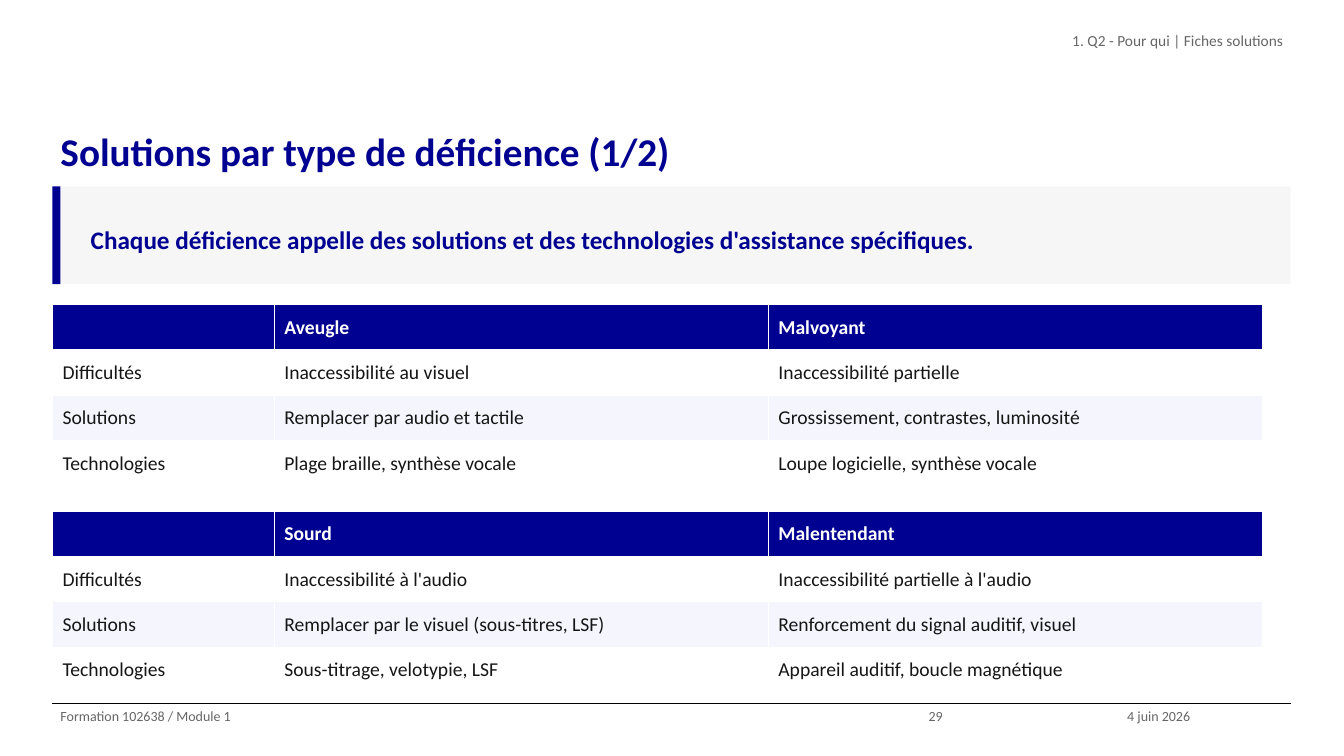
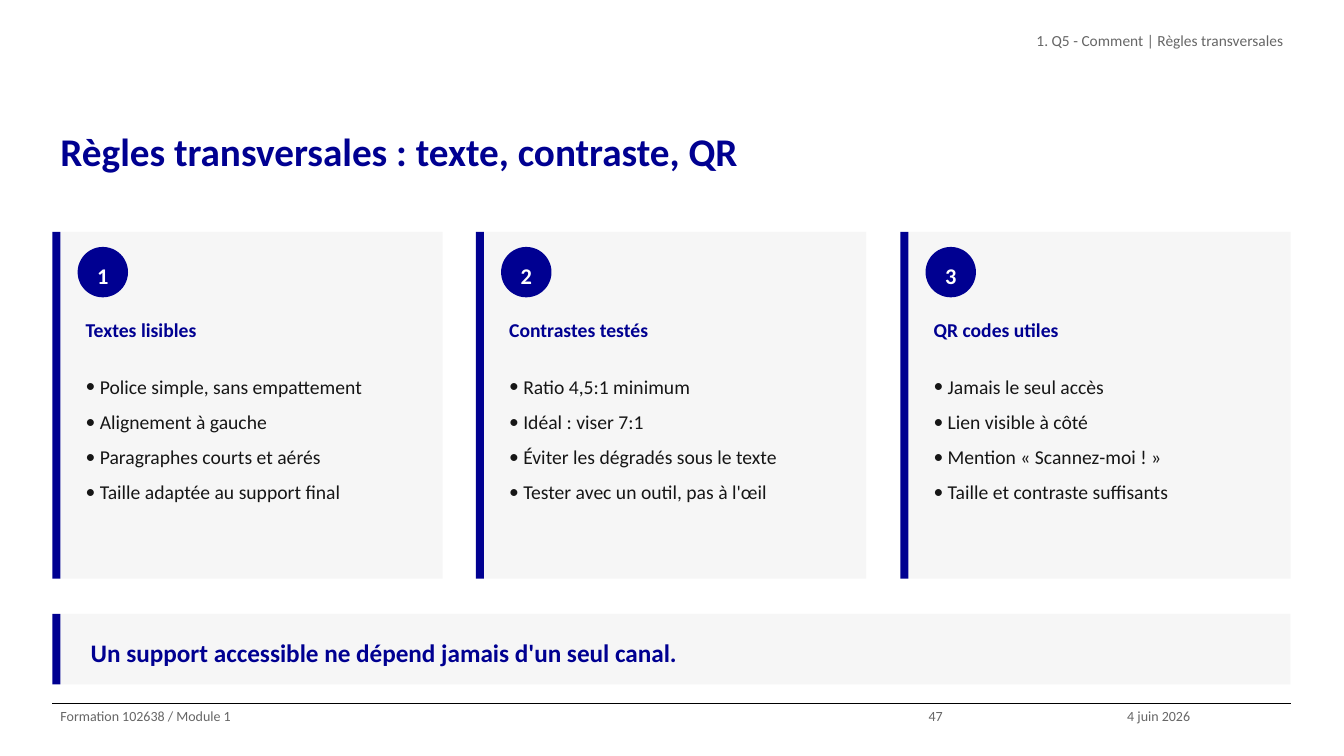
from lxml import etree
from pptx import Presentation
from pptx.dml.color import RGBColor
from pptx.enum.shapes import MSO_CONNECTOR, MSO_SHAPE
from pptx.enum.text import MSO_ANCHOR, PP_ALIGN
from pptx.oxml.ns import qn
from pptx.util import Pt

PX = 9144  # 100 px to the inch
FONT = "Calibri"
COLORS = {
    "blue": "000091",
    "panel": "F6F6F6",
    "band": "F5F5FE",
    "text": "161616",
    "grey": "666666",
    "white": "FFFFFF",
    "black": "000000",
}
RECTANGLE, OVAL = MSO_SHAPE.RECTANGLE, MSO_SHAPE.OVAL
STRAIGHT = MSO_CONNECTOR.STRAIGHT
TOP, MIDDLE = MSO_ANCHOR.TOP, MSO_ANCHOR.MIDDLE
LEFT, CENTER, RIGHT = PP_ALIGN.LEFT, PP_ALIGN.CENTER, PP_ALIGN.RIGHT

MARGIN, CONTENT_WIDTH = 52, 1228
BAR_WIDTH = 8
FOOTER_TOP, FOOTER_HEIGHT = 698, 52
CARD_WIDTH = 387
COLUMN_WIDTHS = (220, 490, 490)
ROW_HEIGHT = 45
ROW_LABELS = ("Difficultés", "Solutions", "Technologies")


def px(*lengths):
    return [length * PX for length in lengths]


def rgb(name):
    return RGBColor.from_string(COLORS[name])


def style_paragraph(paragraph, size, color, bold=False, align=LEFT, spacing=1.25):
    paragraph.alignment = align
    paragraph.line_spacing = spacing
    font = paragraph.font
    font.name, font.size, font.bold = FONT, Pt(size), bold
    font.color.rgb = rgb(color)


def set_insets(frame, vertical):
    frame.word_wrap = True
    frame.margin_left, frame.margin_right = px(8, 8)
    frame.margin_top, frame.margin_bottom = px(vertical, vertical)


def add_text(slide, box, lines, size, color, bold=False, align=LEFT,
             anchor=TOP, inset=0, spacing=1.25, bullets=False):
    frame = slide.shapes.add_textbox(*px(*box)).text_frame
    set_insets(frame, inset)
    frame.vertical_anchor = anchor
    frame.text = "\n".join(lines)
    for paragraph in frame.paragraphs:
        if bullets:
            add_bullet(paragraph)
        style_paragraph(paragraph, size, color, bold, align, spacing)


def add_bullet(paragraph, hang=14):
    properties = paragraph._p.get_or_add_pPr()
    properties.set("marL", str(hang * PX))
    properties.set("indent", str(-hang * PX))
    etree.SubElement(properties, qn("a:buFont")).set("typeface", FONT)
    etree.SubElement(properties, qn("a:buChar")).set("char", "•")


def add_filled_shape(slide, kind, box, color):
    shape = slide.shapes.add_shape(kind, *px(*box))
    shape.shadow.inherit = False
    shape.fill.solid()
    shape.fill.fore_color.rgb = rgb(color)
    shape.line.fill.background()
    return shape


def add_panel(slide, box):
    """Grey panel with a blue bar along its left side."""
    left, top, width, height = box
    add_filled_shape(slide, RECTANGLE,
                     (left + BAR_WIDTH, top, width - BAR_WIDTH, height), "panel")
    add_filled_shape(slide, RECTANGLE, (left, top, BAR_WIDTH, height), "blue")


def add_callout(slide, box, message):
    left, top, width, height = box
    add_panel(slide, box)
    add_text(slide, (left + 30, top + 10, width - 40, height - 20), [message],
             18, "blue", bold=True, anchor=MIDDLE, inset=5)


def add_card(slide, box, number, heading, points):
    left, top, width, height = box
    add_panel(slide, box)
    text_left, text_width = left + 25, width - 40
    badge = add_filled_shape(slide, OVAL, (text_left, top + 15, 50, 50), "blue")
    frame = badge.text_frame
    set_insets(frame, 5)
    frame.vertical_anchor = MIDDLE
    frame.text = str(number)
    style_paragraph(frame.paragraphs[0], 16, "white", True, CENTER)
    add_text(slide, (text_left, top + 75, text_width, 45), [heading],
             14, "blue", bold=True, inset=5)
    add_text(slide, (text_left, top + 125, text_width, height - 135), points,
             14, "text", inset=5, spacing=1.5, bullets=True)


def add_solution_table(slide, left, top, headings, columns):
    rows = [("", *headings), *zip(ROW_LABELS, *columns)]
    table = slide.shapes.add_table(
        len(rows), len(COLUMN_WIDTHS),
        *px(left, top, sum(COLUMN_WIDTHS), ROW_HEIGHT * len(rows))).table
    table.horz_banding = False
    for column, width in zip(table.columns, COLUMN_WIDTHS):
        column.width = width * PX
    for row_index, row in enumerate(rows):
        is_header = row_index == 0
        fill = "blue" if is_header else ("band" if row_index % 2 == 0 else "white")
        table.rows[row_index].height = ROW_HEIGHT * PX
        for column_index, text in enumerate(row):
            cell = table.cell(row_index, column_index)
            cell.fill.solid()
            cell.fill.fore_color.rgb = rgb(fill)
            cell.text = text
            style_paragraph(cell.text_frame.paragraphs[0], 14,
                            "white" if is_header else "text", is_header)


def add_footer(slide, number):
    line = slide.shapes.add_connector(
        STRAIGHT, *px(MARGIN, FOOTER_TOP, MARGIN + CONTENT_WIDTH, FOOTER_TOP))
    line.line.color.rgb = rgb("black")
    line.line.width = Pt(0.8)
    etree.SubElement(line._element.spPr, qn("a:effectLst"))
    for left, width, text in (
        (MARGIN, 861, "Formation 102638 / Module 1"),
        (913, 197, str(number)),
        (1110, 171, "4 juin 2026"),
    ):
        add_text(slide, (left, FOOTER_TOP, width, FOOTER_HEIGHT), [text], 10, "grey")


def add_base_slide(presentation, section, title, number):
    """Blank slide with the shared section label, title and footer."""
    slide = presentation.slides.add_slide(presentation.slide_layouts[6])
    add_text(slide, (483, 26, 798, 52), [section], 11, "grey", align=RIGHT)
    add_text(slide, (MARGIN, 115, CONTENT_WIDTH, 105), [title], 28, "blue", bold=True)
    add_footer(slide, number)
    return slide


def build_solutions_slide(presentation):
    slide = add_base_slide(presentation, "1. Q2 - Pour qui | Fiches solutions",
                           "Solutions par type de déficience (1/2)", 29)
    add_callout(slide, (MARGIN, 185, CONTENT_WIDTH, 97),
                "Chaque déficience appelle des solutions et des technologies "
                "d'assistance spécifiques.")
    add_solution_table(slide, MARGIN, 302, ("Aveugle", "Malvoyant"), (
        ("Inaccessibilité au visuel", "Remplacer par audio et tactile",
         "Plage braille, synthèse vocale"),
        ("Inaccessibilité partielle", "Grossissement, contrastes, luminosité",
         "Loupe logicielle, synthèse vocale"),
    ))
    add_solution_table(slide, MARGIN, 507, ("Sourd", "Malentendant"), (
        ("Inaccessibilité à l'audio", "Remplacer par le visuel (sous-titres, LSF)",
         "Sous-titrage, velotypie, LSF"),
        ("Inaccessibilité partielle à l'audio", "Renforcement du signal auditif, visuel",
         "Appareil auditif, boucle magnétique"),
    ))


def build_rules_slide(presentation):
    slide = add_base_slide(presentation, "1. Q5 - Comment | Règles transversales",
                           "Règles transversales : texte, contraste, QR", 47)
    cards = (
        ("Textes lisibles", (
            "Police simple, sans empattement", "Alignement à gauche",
            "Paragraphes courts et aérés", "Taille adaptée au support final")),
        ("Contrastes testés", (
            "Ratio 4,5:1 minimum", "Idéal : viser 7:1",
            "Éviter les dégradés sous le texte", "Tester avec un outil, pas à l'œil")),
        ("QR codes utiles", (
            "Jamais le seul accès", "Lien visible à côté",
            "Mention « Scannez-moi ! »", "Taille et contraste suffisants")),
    )
    for index, (heading, points) in enumerate(cards):
        left = MARGIN + index * (CONTENT_WIDTH - CARD_WIDTH) // (len(cards) - 1)
        add_card(slide, (left, 230, CARD_WIDTH, 344), index + 1, heading, points)
    add_callout(slide, (MARGIN, 609, CONTENT_WIDTH, 70),
                "Un support accessible ne dépend jamais d'un seul canal.")


def main():
    presentation = Presentation()
    presentation.slide_width, presentation.slide_height = px(1333, 750)
    build_solutions_slide(presentation)
    build_rules_slide(presentation)
    presentation.save("out.pptx")


if __name__ == "__main__":
    main()
